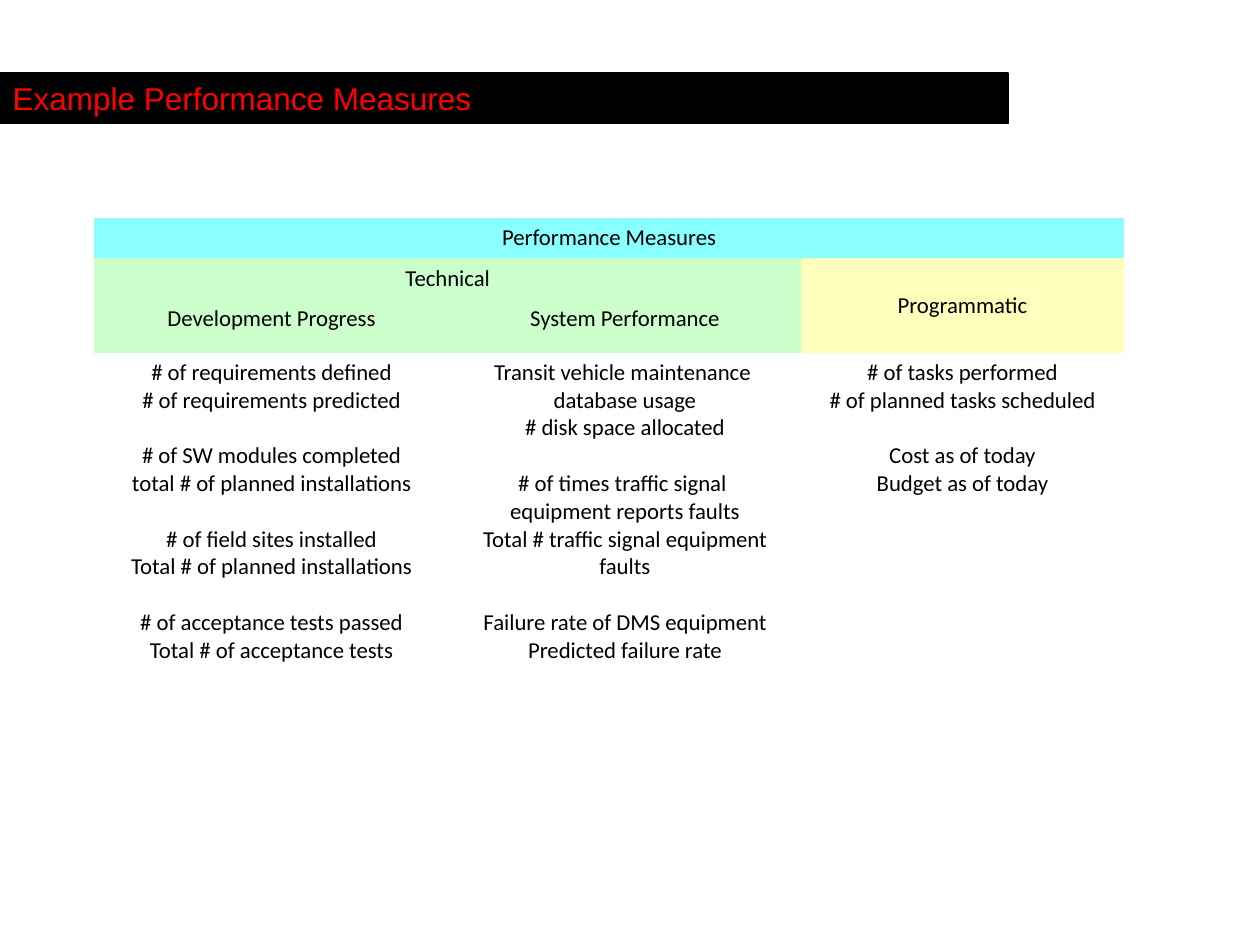
from dataclasses import dataclass

from pptx import Presentation
from pptx.dml.color import RGBColor
from pptx.enum.text import MSO_ANCHOR, MSO_AUTO_SIZE, PP_ALIGN
from pptx.util import Cm, Pt


@dataclass(frozen=True)
class Theme:
    title_font: str = "Arial"
    title_size: float = 18
    title_color: str = "FF0000"
    title_fill: str = "000000"
    table_font: str = "Calibri"
    table_size: float = 13
    table_color: str = "000000"
    group_gap: float = 15.9
    heading_fill: str = "89FFFF"
    technical_fill: str = "CCFFCC"
    programmatic_fill: str = "FFFFBD"


THEME = Theme()
NO_STYLE_NO_GRID = "{2D5ABB26-0587-4C30-8999-92F81FD0307C}"
TITLE_BOX = (0, 1.47, 20.32, 1.02)
TABLE_BOX = (1.9, 4.39, 20.75, 12.57)
COL_WIDTHS = (7.14, 7.11, 6.5)
HEADER_HEIGHTS = (0.56, 0.56, 1.09)

# (row, column, rows spanned, columns spanned, text, fill, anchor)
HEADERS = [
    (0, 0, 1, 3, "Performance Measures", THEME.heading_fill, MSO_ANCHOR.MIDDLE),
    (1, 0, 1, 2, "Technical", THEME.technical_fill, MSO_ANCHOR.TOP),
    (1, 2, 2, 1, "Programmatic", THEME.programmatic_fill, MSO_ANCHOR.MIDDLE),
    (2, 0, 1, 1, "Development Progress", THEME.technical_fill, MSO_ANCHOR.TOP),
    (2, 1, 1, 1, "System Performance", THEME.technical_fill, MSO_ANCHOR.TOP),
]

# One list per column; each inner list is a measure and its baseline.
MEASURES = [
    [
        ["# of requirements defined", "# of requirements predicted"],
        ["# of SW modules completed", "total # of planned installations"],
        ["# of field sites installed", "Total # of planned installations"],
        ["# of acceptance tests passed", "Total # of acceptance tests"],
    ],
    [
        ["Transit vehicle maintenance ", "database usage", "# disk space allocated"],
        ["# of times traffic signal ", "equipment reports faults",
         "Total # traffic signal equipment faults"],
        ["Failure rate of DMS equipment", "Predicted failure rate"],
    ],
    [
        ["# of tasks performed", "# of planned tasks scheduled"],
        ["Cost as of today", "Budget as of today"],
    ],
]


def style_paragraph(p, font, size, color, align):
    p.font.name = font
    p.font.size = Pt(size)
    p.font.color.rgb = RGBColor.from_string(color)
    p.alignment = align


def add_title(slide, box, text):
    sp = slide.shapes.title
    sp.left, sp.top, sp.width, sp.height = map(Cm, box)
    black = RGBColor.from_string(THEME.title_fill)
    sp.fill.solid()
    sp.fill.fore_color.rgb = black
    sp.line.color.rgb = black
    sp.line.width = Pt(0.75)
    tf = sp.text_frame
    tf.text = text
    tf.auto_size = MSO_AUTO_SIZE.NONE
    tf.vertical_anchor = MSO_ANCHOR.MIDDLE
    style_paragraph(tf.paragraphs[0], THEME.title_font, THEME.title_size,
                    THEME.title_color, PP_ALIGN.LEFT)


def fill_cell(cell, groups):
    """Write groups of lines, with a gap of one line between groups."""
    tf = cell.text_frame
    tf.text = "\n".join(line for group in groups for line in group)
    paragraphs = iter(tf.paragraphs)
    for g, group in enumerate(groups):
        for i in range(len(group)):
            p = next(paragraphs)
            style_paragraph(p, THEME.table_font, THEME.table_size,
                            THEME.table_color, PP_ALIGN.CENTER)
            if g and i == 0:
                p.space_before = Pt(THEME.group_gap)


def add_measures_table(slide, box):
    n_headers = len(HEADER_HEIGHTS)
    frame = slide.shapes.add_table(n_headers + 1, len(COL_WIDTHS), *map(Cm, box))
    table = frame.table
    table.first_row = table.horz_banding = False
    table._tbl.tblPr.find("{*}tableStyleId").text = NO_STYLE_NO_GRID

    for column, width in zip(table.columns, COL_WIDTHS):
        column.width = Cm(width)
    heights = (*HEADER_HEIGHTS, box[3] - sum(HEADER_HEIGHTS))
    for row, height in zip(table.rows, heights):
        row.height = Cm(height)

    for row, col, n_rows, n_cols, text, fill, anchor in HEADERS:
        cell = table.cell(row, col)
        if n_rows * n_cols > 1:
            cell.merge(table.cell(row + n_rows - 1, col + n_cols - 1))
        cell.fill.solid()
        cell.fill.fore_color.rgb = RGBColor.from_string(fill)
        cell.vertical_anchor = anchor
        fill_cell(cell, [[text]])

    for col, groups in enumerate(MEASURES):
        cell = table.cell(n_headers, col)
        cell.fill.background()
        fill_cell(cell, groups)


def main():
    prs = Presentation()
    prs.slide_width, prs.slide_height = Cm(25.4), Cm(19.05)
    slide = prs.slides.add_slide(prs.slide_layouts.get_by_name("Title Only"))
    add_measures_table(slide, TABLE_BOX)
    add_title(slide, TITLE_BOX, "Example Performance Measures")
    prs.save("out.pptx")


if __name__ == "__main__":
    main()
